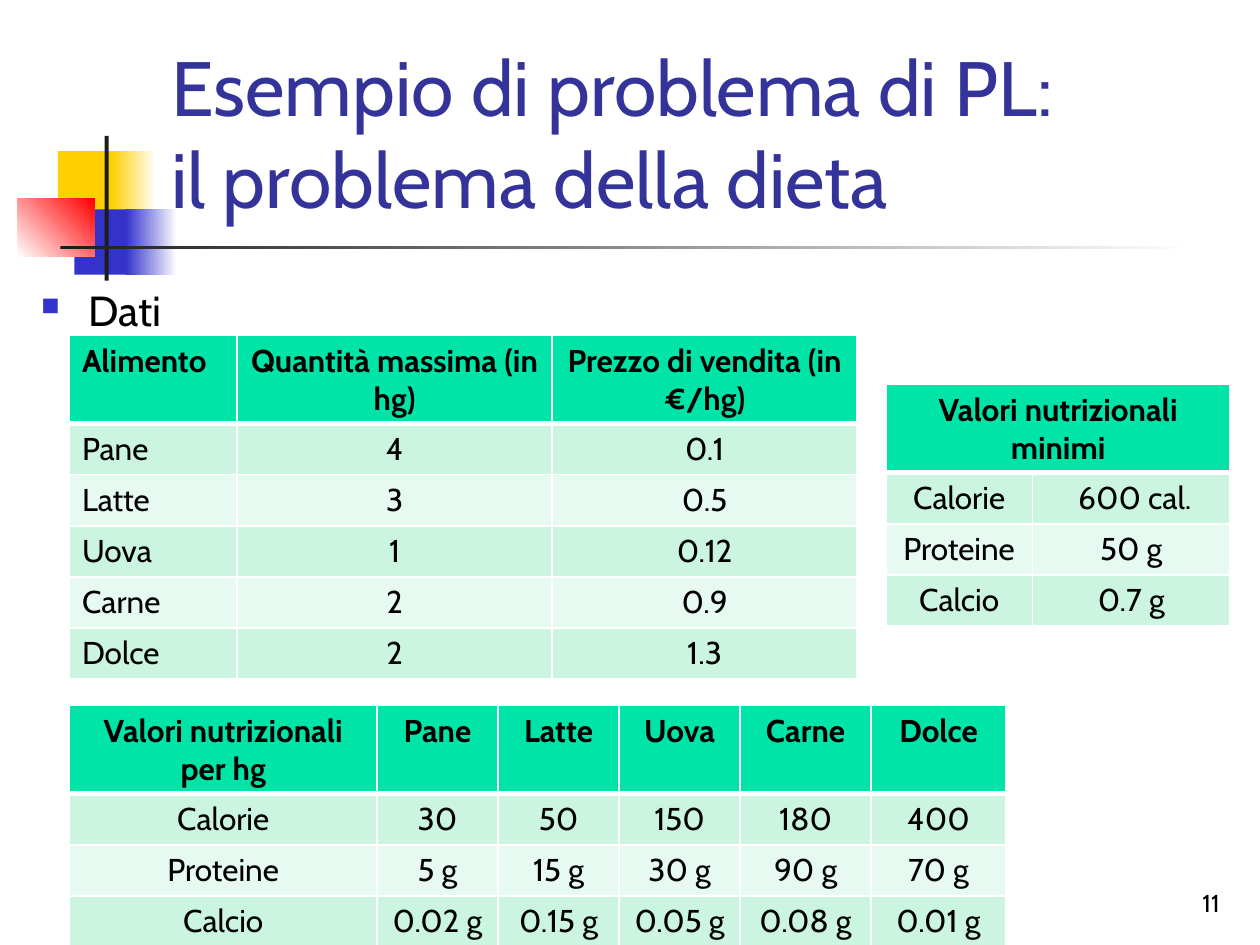
import pptx
import pptx.util
import pptx.dml.color
import pptx.enum.shapes
import pptx.enum.text
import pptx.oxml
import pptx.oxml.ns

Cm = pptx.util.Cm
Pt = pptx.util.Pt
RGBColor = pptx.dml.color.RGBColor
ALIGN = pptx.enum.text.PP_ALIGN
ANCHOR = pptx.enum.text.MSO_ANCHOR

FONT = "Cabin"
BLACK = RGBColor(0x00, 0x00, 0x00)
WHITE = RGBColor(0xFF, 0xFF, 0xFF)
INDIGO = RGBColor(0x33, 0x33, 0x99)
YELLOW = RGBColor(0xFF, 0xCF, 0x01)
BLUE = RGBColor(0x33, 0x33, 0xCC)
RED = RGBColor(0xFF, 0x00, 0x00)
CHARCOAL = RGBColor(0x1C, 0x1C, 0x1C)
HEADER_GREEN = RGBColor(0x00, 0xE4, 0xA8)
BAND_GREENS = (RGBColor(0xCC, 0xF5, 0xE1), RGBColor(0xE7, 0xFA, 0xF1))

HEADER_HEIGHT = 1.78
ROW_HEIGHT = 1.03
THIN, THICK = 1, 3

FOODS = ["Pane", "Latte", "Uova", "Carne", "Dolce"]
NUTRIENTS = ["Calorie", "Proteine", "Calcio"]


def set_values(target, values):
    for name, value in values.items():
        setattr(target, name, value)


def format_paragraph(paragraph, size, color=BLACK, bold=False, align=ALIGN.LEFT):
    paragraph.alignment = align
    set_values(paragraph.font, {"name": FONT, "size": Pt(size), "bold": bold})
    paragraph.font.color.rgb = color


def add_block(slide, box, color, end_color=None, angle=0):
    """Borderless rectangle, solid or fading from color to end_color."""
    block = slide.shapes.add_shape(
        pptx.enum.shapes.MSO_SHAPE.RECTANGLE, *map(Cm, box))
    block.shadow.inherit = False
    block.line.fill.background()
    if end_color is None:
        block.fill.solid()
        block.fill.fore_color.rgb = color
        return
    block.fill.gradient()
    block.fill.gradient_angle = angle
    stops = zip(block.fill.gradient_stops, (0, 1), (color, end_color))
    for stop, position, stop_color in stops:
        stop.position = position
        stop.color.rgb = stop_color


def add_text(slide, box, text, anchor=ANCHOR.TOP, **text_format):
    frame = slide.shapes.add_textbox(*map(Cm, box)).text_frame
    set_values(frame, {"word_wrap": True, "vertical_anchor": anchor})
    paragraph = frame.paragraphs[0]
    paragraph.text = text
    format_paragraph(paragraph, **text_format)
    return paragraph


def add_bullet(paragraph, color):
    properties = paragraph._p.get_or_add_pPr()
    set_values(paragraph, {"space_before": Pt(4.8)})
    properties.set("marL", str(Cm(0.95)))
    properties.set("indent", str(-Cm(0.95)))
    namespace = pptx.oxml.ns.nsdecls("a")
    for xml in (
        f'<a:buClr {namespace}><a:srgbClr val="{color}"/></a:buClr>',
        f'<a:buSzPct {namespace} val="60000"/>',
        f'<a:buChar {namespace} char="■"/>',
    ):
        properties.append(pptx.oxml.parse_xml(xml))


def set_borders(cell, widths):
    properties = cell._tc.get_or_add_tcPr()
    for side, width in zip("LRTB", widths):
        properties.append(pptx.oxml.parse_xml(
            f'<a:ln{side} {pptx.oxml.ns.nsdecls("a")} w="{Pt(width)}">'
            f'<a:solidFill><a:srgbClr val="{WHITE}"/></a:solidFill></a:ln{side}>'))


def add_data_table(slide, left, top, widths, rows, first_align=ALIGN.CENTER):
    """Banded table whose first row is a bold header."""
    heights = [HEADER_HEIGHT] + [ROW_HEIGHT] * (len(rows) - 1)
    table = slide.shapes.add_table(
        len(rows), len(widths), Cm(left), Cm(top),
        Cm(sum(widths)), Cm(sum(heights))).table
    for column, width in zip(table.columns, widths):
        column.width = Cm(width)
    for r, (row, height) in enumerate(zip(rows, heights)):
        table.rows[r].height = Cm(height)
        for c, text in enumerate(row):
            cell = table.cell(r, c)
            cell.text = text
            format_paragraph(cell.text_frame.paragraphs[0], 18, bold=r == 0,
                             align=ALIGN.CENTER if c else first_align)
            set_borders(cell, (THIN, THIN, THICK if r == 1 else THIN,
                               THICK if r == 0 else THIN))
            cell.fill.solid()
            cell.fill.fore_color.rgb = (
                BAND_GREENS[(r - 1) % 2] if r else HEADER_GREEN)
    return table


def add_decoration(slide):
    add_block(slide, (1.17, 3.05, 1.22, 1.32), YELLOW)
    add_block(slide, (2.24, 3.05, 0.91, 1.32), YELLOW, WHITE)
    add_block(slide, (1.5, 4.22, 1.17, 1.32), BLUE)
    add_block(slide, (2.54, 4.22, 1.02, 1.32), BLUE, WHITE)
    add_block(slide, (0.36, 4.01, 1.55, 1.17), WHITE, RED, angle=45)
    add_block(slide, (2.11, 2.74, 0.08, 2.92), CHARCOAL)
    add_block(slide, (1.22, 4.95, 22.86, 0.08), CHARCOAL, WHITE)


def main():
    deck = pptx.Presentation()
    set_values(deck, {"slide_width": Cm(25.4), "slide_height": Cm(19.05)})
    slide = deck.slides.add_slide(deck.slide_layouts[6])

    # Corner blocks and rules
    add_decoration(slide)

    # Page number, heading of the data, title
    add_text(slide, (19.56, 17.35, 5.28, 1.27), "11", ANCHOR.BOTTOM,
             size=14, align=ALIGN.RIGHT)
    data_heading = add_text(slide, (0.58, 5.61, 24.28, 13.44), "Dati", size=24)
    add_bullet(data_heading, BLUE)
    add_text(slide, (3.2, 0.58, 21.64, 4.06),
             "Esempio di problema di PL:\vil problema della dieta",
             ANCHOR.BOTTOM, size=44, color=INDIGO)

    # Availability and price of each food
    quantities = ["4", "3", "1", "2", "2"]
    prices = ["0.1", "0.5", "0.12", "0.9", "1.3"]
    add_data_table(
        slide, 1.4, 6.76, [3.38, 6.35, 6.15],
        [("Alimento", "Quantità massima (in hg)", "Prezzo di vendita (in €/hg)"),
         *zip(FOODS, quantities, prices)],
        first_align=ALIGN.LEFT)

    # Nutrients in each food
    contents = [
        ["30", "50", "150", "180", "400"],
        ["5 g", "15 g", "30 g", "90 g", "70 g"],
        ["0.02 g", "0.15 g", "0.05 g", "0.08 g", "0.01 g"],
    ]
    add_data_table(
        slide, 1.4, 14.22, [6.2, 2.44, 2.44, 2.44, 2.64, 2.72],
        [["Valori nutrizionali per hg", *FOODS],
         *([name, *values] for name, values in zip(NUTRIENTS, contents))])

    # Minimum intake of each nutrient
    minimums = add_data_table(
        slide, 17.86, 7.75, [2.95, 3.99],
        [("Valori nutrizionali minimi", ""),
         *zip(NUTRIENTS, [" 600 cal.", "50 g", "0.7 g"])])
    minimums.cell(0, 0).merge(minimums.cell(0, 1))

    deck.save("out.pptx")


if __name__ == "__main__":
    main()
